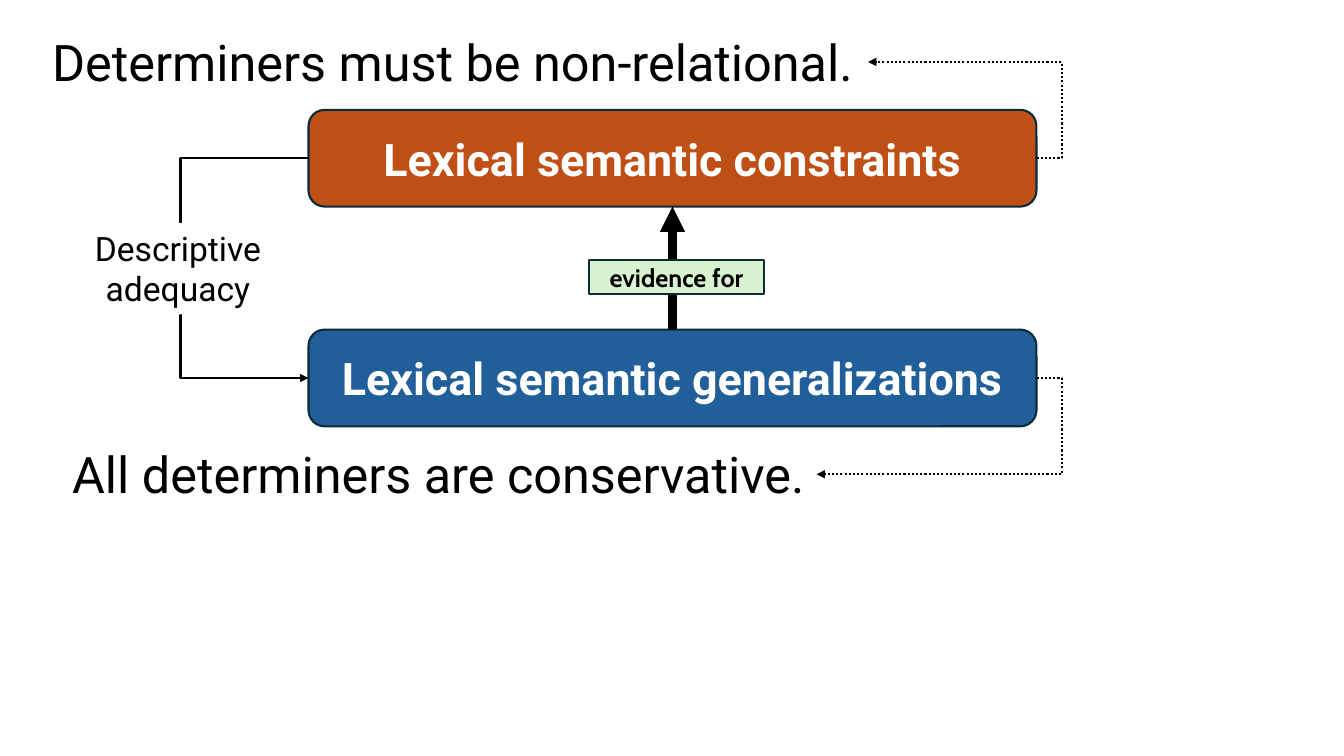
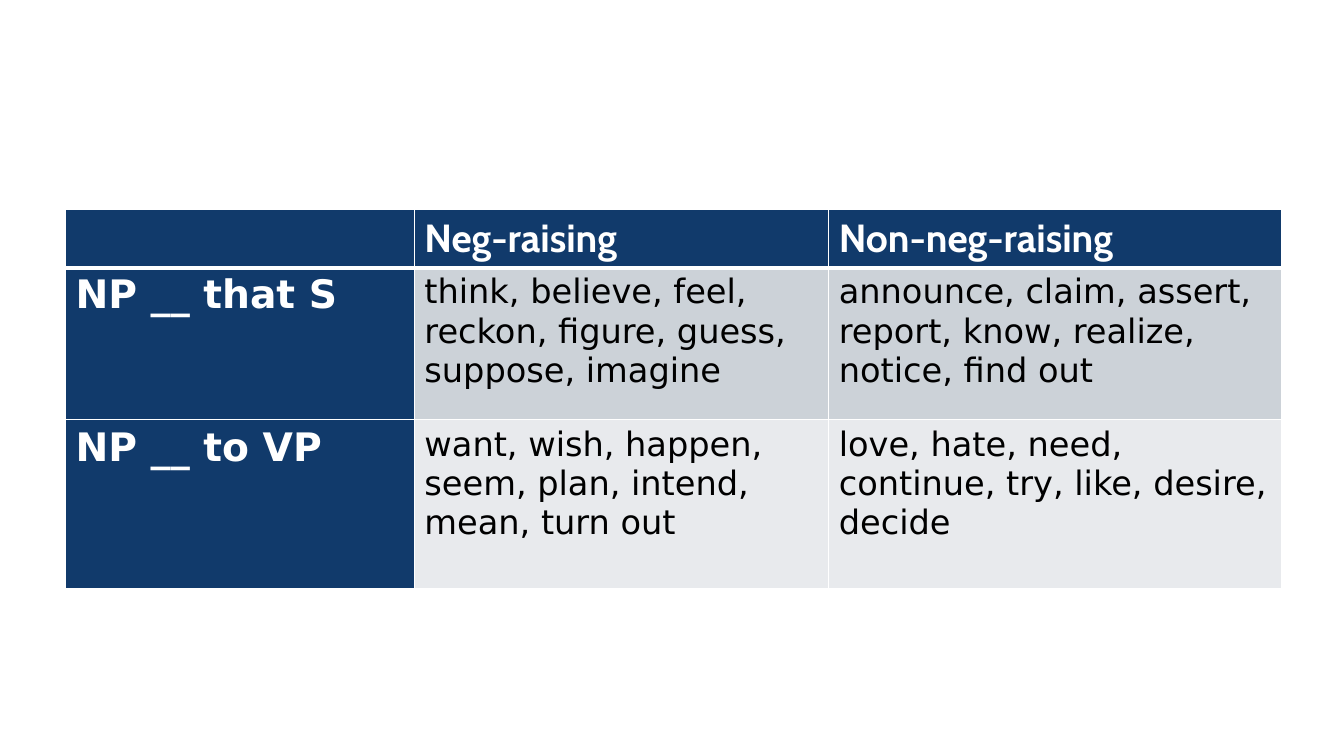
from lxml import etree
from pptx import Presentation
from pptx.dml.color import RGBColor
from pptx.enum.dml import MSO_LINE
from pptx.enum.shapes import MSO_CONNECTOR, MSO_SHAPE
from pptx.enum.text import MSO_ANCHOR, PP_ALIGN
from pptx.oxml.ns import qn
from pptx.util import Inches, Pt

ROUNDED, RECT = MSO_SHAPE.ROUNDED_RECTANGLE, MSO_SHAPE.RECTANGLE
STRAIGHT, ELBOW = MSO_CONNECTOR.STRAIGHT, MSO_CONNECTOR.ELBOW
DOTTED = MSO_LINE.ROUND_DOT
CENTER = PP_ALIGN.CENTER
TOP, MIDDLE = MSO_ANCHOR.TOP, MSO_ANCHOR.MIDDLE

COLORS = {
    "black": "000000", "white": "FFFFFF", "outline": "092A39",
    "constraints": "C04F15", "generalizations": "215F9A", "evidence": "D9F2D0",
    "header": "113A6B", "dark band": "CCD2D8", "light band": "E8EAED",
}
DIAGRAM_FONT, ACCENT_FONT, TABLE_FONT = "Roboto", "Cabin", "DejaVu Sans"


def color(name):
    return RGBColor.from_string(COLORS[name])


def style_text(frame, text, font, size, ink="black", bold=False, align=None):
    frame.text = text
    paragraph = frame.paragraphs[0]
    paragraph.alignment = align
    for run in paragraph.runs:
        run.font.name = font
        run.font.size = Pt(size)
        run.font.bold = bold
        run.font.color.rgb = color(ink)


def add_box(slide, kind, box, fill, text, font, size, ink="black",
            bold=False, outline="outline", anchor=MIDDLE):
    shape = slide.shapes.add_shape(kind, *map(Inches, box))
    shape.shadow.inherit = False
    shape.fill.solid()
    shape.fill.fore_color.rgb = color(fill)
    if outline:
        shape.line.color.rgb = color(outline)
        shape.line.width = Pt(1.5)
    else:
        shape.line.fill.background()
    shape.text_frame.word_wrap = True
    shape.text_frame.vertical_anchor = anchor
    style_text(shape.text_frame, text, font, size, ink, bold, CENTER)


def add_arrow(slide, start, end, width=1.5, bend_x=None, dash=None):
    """Straight arrow, or an elbow whose vertical leg runs at bend_x."""
    kind = STRAIGHT if bend_x is None else ELBOW
    arrow = slide.shapes.add_connector(kind, *map(Inches, start + end))
    arrow.line.color.rgb = color("black")
    arrow.line.width = Pt(width)
    if dash:
        arrow.line.dash_style = dash
    properties = arrow._element.spPr
    etree.SubElement(properties.find(qn("a:ln")), qn("a:tailEnd"), type="triangle")
    etree.SubElement(properties, qn("a:effectLst"))
    if bend_x is not None:
        ratio = (bend_x - start[0]) / (end[0] - start[0])
        guides = properties.find(qn("a:prstGeom")).get_or_add_avLst()
        etree.SubElement(guides, qn("a:gd"), name="adj1",
                         fmla=f"val {round(ratio * 100000)}")


def add_example(slide, box, text, source):
    """Example sentence with a dotted arrow coming from its level."""
    left, top, width, height = box
    sentence = slide.shapes.add_textbox(*map(Inches, box))
    sentence.text_frame.word_wrap = True
    style_text(sentence.text_frame, text, DIAGRAM_FONT, 36, align=CENTER)
    add_arrow(slide, source, (left + width, top + height / 2),
              bend_x=source[0] + 0.25, dash=DOTTED)


def build_levels(slide, box):
    """Two levels, linked by evidence and by descriptive adequacy."""
    left, top, width, height = box
    level_height = 0.96
    right, center = left + width, left + width / 2
    lower_top = top + height - level_height
    upper_middle, lower_middle = top + level_height / 2, lower_top + level_height / 2

    # Levels
    for level_top, fill, text in (
            (top, "constraints", "Lexical semantic constraints"),
            (lower_top, "generalizations", "Lexical semantic generalizations")):
        add_box(slide, ROUNDED, (left, level_top, width, level_height), fill,
                text, DIAGRAM_FONT, 32, "white", True)

    # Evidence arrow and its label
    add_arrow(slide, (center, lower_top), (center, top + level_height), 6)
    add_box(slide, RECT, (center - 0.83, top + 1.49, 1.74, 0.34), "evidence",
            "evidence for", ACCENT_FONT, 18, bold=True)

    # Examples of each level
    add_example(slide, (0.37, top - 0.83, 8.24, 0.71),
                "Determiners must be non-relational.", (right, upper_middle))
    add_example(slide, (0.6, top + height + 0.12, 7.5, 0.71),
                "All determiners are conservative.", (right, lower_middle))

    # Descriptive adequacy loop, interrupted by its label
    add_arrow(slide, (left + 0.01, upper_middle), (left, lower_middle),
              bend_x=left - 1.29)
    add_box(slide, RECT, (left - 2.46, top + 1.12, 2.33, 0.91), "white",
            "Descriptive adequacy", DIAGRAM_FONT, 24, outline=None, anchor=TOP)


def set_borders(cell, bottom_width):
    properties = cell._tc.get_or_add_tcPr()
    widths = {"a:lnL": 1, "a:lnR": 1, "a:lnT": 1, "a:lnB": bottom_width}
    for position, (side, width) in enumerate(widths.items()):
        border = etree.Element(qn(side), w=str(Pt(width)))
        fill = etree.SubElement(border, qn("a:solidFill"))
        etree.SubElement(fill, qn("a:srgbClr"), val=COLORS["white"])
        properties.insert(position, border)


def build_verb_table(slide, origin):
    """Verbs by syntactic frame and by neg-raising."""
    rows = (
        ("", "Neg-raising", "Non-neg-raising"),
        ("NP __ that S",
         "think, believe, feel, reckon, figure, guess, suppose, imagine",
         "announce, claim, assert, report, know, realize, notice, find out"),
        ("NP __ to VP",
         "want, wish, happen, seem, plan, intend, mean, turn out",
         "love, hate, need, continue, try, like, desire, decide"),
    )
    column_widths, row_heights = (3.46, 4.11, 4.49), (0.57, 1.51, 1.67)
    bands = ("header", "dark band", "light band")
    size = (sum(column_widths), sum(row_heights))
    table = slide.shapes.add_table(len(rows), len(column_widths),
                                   *map(Inches, origin + size)).table
    for column, width in zip(table.columns, column_widths):
        column.width = Inches(width)
    for row, height in zip(table.rows, row_heights):
        row.height = Inches(height)

    for r, texts in enumerate(rows):
        for c, text in enumerate(texts):
            cell = table.cell(r, c)
            heading = r == 0 or c == 0
            cell.fill.solid()
            cell.fill.fore_color.rgb = color("header" if heading else bands[r])
            set_borders(cell, 3 if r == 0 else 1)
            style_text(cell.text_frame, text,
                       ACCENT_FONT if r == 0 else TABLE_FONT,
                       28 if heading else 24,
                       "white" if heading else "black", heading)
            if not text:
                cell.text_frame.paragraphs[0].font.size = Pt(28)


def main():
    deck = Presentation()
    deck.slide_width, deck.slide_height = Inches(13.33), Inches(7.5)
    blank = deck.slide_layouts[6]
    build_levels(deck.slides.add_slide(blank), (3.06, 1.09, 7.22, 3.14))
    build_verb_table(deck.slides.add_slide(blank), (0.65, 2.08))
    deck.save("out.pptx")


if __name__ == "__main__":
    main()
